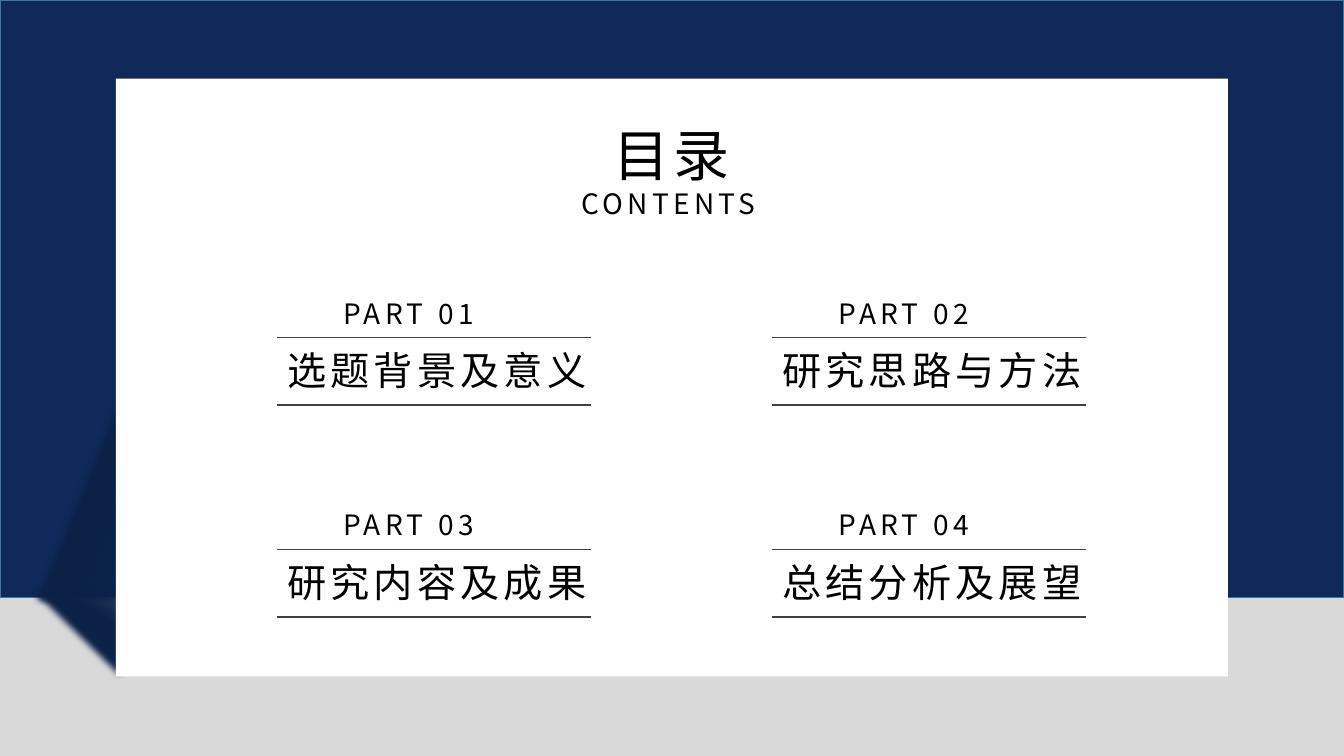
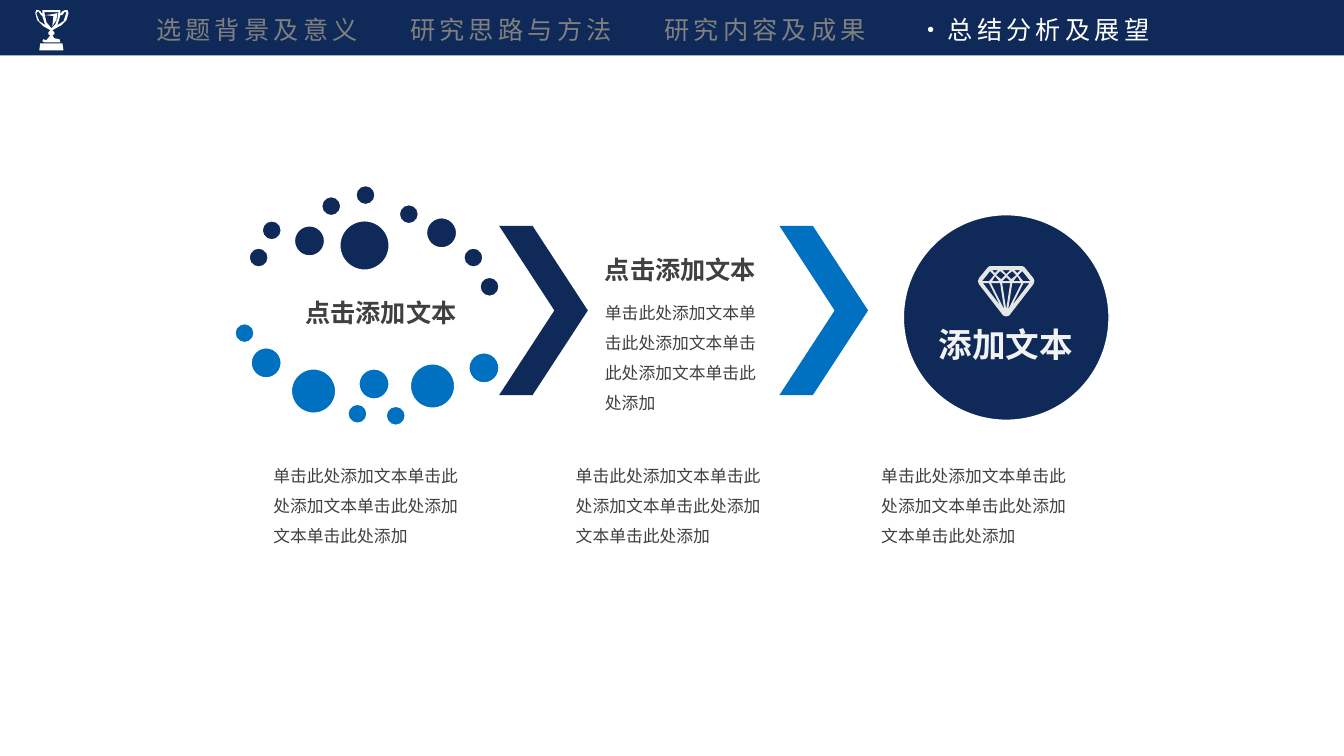
from lxml import etree
from pptx import Presentation
from pptx import util as u
from pptx.dml.color import RGBColor
from pptx.enum import shapes, text
from pptx.oxml import ns

NAVY = RGBColor(0x0F, 0x2A, 0x59)
DEEP = RGBColor(0x0C, 0x22, 0x47)
BLUE = RGBColor(0x00, 0x70, 0xC0)
EDGE = RGBColor(0x43, 0x73, 0x9E)
WHITE = RGBColor(0xFF, 0xFF, 0xFF)
PALE = RGBColor(0xF2, 0xF2, 0xF2)
ICE = RGBColor(0xE7, 0xE6, 0xE6)
MIST = RGBColor(0xD9, 0xD9, 0xD9)
GREY = RGBColor(0x80, 0x80, 0x80)
DARK = RGBColor(0x40, 0x40, 0x40)
BLACK = RGBColor(0, 0, 0)
FONT = "Noto Sans CJK SC"
WIDE, HIGH = 13.33, 7.5
KIND = shapes.MSO_SHAPE
PARTS = ["选题背景及意义", "研究思路与方法", "研究内容及成果", "总结分析及展望"]


def draw(page, kind, box, fill=None, line=None):
    item = page.shapes.add_shape(kind, *map(u.Inches, box))
    item.shadow.inherit = False
    if fill is not None:
        item.fill.solid()
        item.fill.fore_color.rgb = fill
    if line is None:
        item.line.fill.background()
    else:
        item.line.color.rgb = line
        item.line.width = u.Pt(1)
    return item


def write(page, box, words, size, tone, bold=False, gap=0, wrap=False, body=False, tabs=()):
    frame = page.shapes.add_textbox(*map(u.Inches, box)).text_frame
    frame.word_wrap = wrap
    frame.auto_size = text.MSO_AUTO_SIZE.SHAPE_TO_FIT_TEXT
    para = frame.paragraphs[0]
    para.text = words
    if body:
        frame.margin_left = frame.margin_right = u.Inches(0.07)
        frame.margin_top = frame.margin_bottom = u.Inches(0.04)
        para.line_spacing = 1.5
    if tabs:
        stops = etree.SubElement(para._p.get_or_add_pPr(), ns.qn("a:tabLst"))
        for stop in tabs:
            etree.SubElement(stops, ns.qn("a:tab"), pos=str(u.Inches(stop)), algn="l")
    font = para.font
    font.size, font.bold, font.name = u.Pt(size), bold, FONT
    font.color.rgb = tone
    props = para._p.pPr.find(ns.qn("a:defRPr"))
    props.set("spc", str(gap * 100))
    etree.SubElement(props, ns.qn("a:ea"), typeface=FONT)
    return para


deck = Presentation()
deck.slide_width, deck.slide_height = u.Inches(WIDE), u.Inches(HIGH)
pages = []
for tone in (MIST, WHITE):
    page = deck.slides.add_slide(deck.slide_layouts[6])
    page.background.fill.solid()
    page.background.fill.fore_color.rgb = tone
    pages.append(page)
toc, flow = pages

# Contents: backdrop, folded shade and white card
draw(toc, KIND.RECTANGLE, (0, 0, WIDE, 5.93), NAVY, EDGE)
for box, turn, angle, ends, alpha in (
    ((-0.46, 4.31, 2.42, 1), 270, 70, (0.07, 0.39), 70),
    ((0.15, 5.82, 1.1, 1.08), 180, 60, (0, 0.25), 80),
):
    fold = draw(toc, KIND.RIGHT_TRIANGLE, box)
    fold.rotation = turn
    fold.fill.gradient()
    fold.fill.gradient_angle = angle
    for stop, place in zip(fold.fill.gradient_stops, ends):
        stop.color.rgb = DEEP
        stop.position = place
    tint = fold._element.spPr.find(".//" + ns.qn("a:srgbClr"))
    etree.SubElement(tint, ns.qn("a:alpha"), val=str(alpha * 1000))
    soft = fold._element.spPr.find(ns.qn("a:effectLst"))
    etree.SubElement(soft, ns.qn("a:softEdge"), rad=str(u.Pt(5)))
draw(toc, KIND.RECTANGLE, (1.15, 0.78, 11.03, 5.93), WHITE)

# Contents: heading and a two by two grid of parts
write(toc, (5.67, 1.8, 1.99, 0.44), "CONTENTS", 20, BLACK, gap=3, wrap=True)
write(toc, (5.99, 1.15, 1.41, 0.77), "目录", 40, BLACK, gap=3)
for i, name in enumerate(PARTS):
    row, col = divmod(i, 2)
    x, y = 2.75 + 4.91 * col, 3.35 + 2.1 * row
    write(toc, (x, y + 0.04, 3.25, 0.57), name, 28, BLACK, gap=3)
    for level in (y, y + 0.67):
        rule = toc.shapes.add_connector(
            shapes.MSO_CONNECTOR.STRAIGHT, *map(u.Inches, (x, level, x + 3.11, level)))
        rule.line.color.rgb = DARK
        rule.line.width = u.Pt(1)
        etree.SubElement(rule._element.spPr, ns.qn("a:effectLst"))
    write(toc, (x + 0.56, y - 0.46, 1.99, 0.44), f"PART {i + 1:02}", 20, BLACK, gap=3, wrap=True)

# Flow: band with the part names, the current one in white
draw(flow, KIND.RECTANGLE, (0, 0, WIDE, 0.55), NAVY)
nav = write(flow, (1.45, 0.09, 11.8, 0.4), "\t".join(PARTS[:3]) + "\t", 18, GREY,
            gap=3, wrap=True, tabs=[2.52 * n for n in (1, 2, 3)])
here = nav.add_run()
here.text = "·" + PARTS[3]
here.font.color.rgb = WHITE

# Flow: ring of dots as left, top, size
dots = {
    NAVY: [(2.47, 2.46, 0.19), (2.6, 2.19, 0.19), (2.92, 2.24, 0.3), (3.19, 1.95, 0.19),
           (3.53, 1.84, 0.19), (3.96, 2.03, 0.19), (4.23, 2.16, 0.3), (4.6, 2.46, 0.19),
           (4.76, 2.75, 0.19), (3.37, 2.19, 0.49)],
    BLUE: [(2.33, 3.21, 0.19), (2.49, 3.45, 0.3), (2.89, 3.66, 0.44), (3.45, 4.01, 0.19),
           (3.56, 3.66, 0.3), (3.83, 4.03, 0.19), (4.07, 3.61, 0.44), (4.65, 3.5, 0.3)],
}
for tone, ring in dots.items():
    for x, y, size in ring:
        draw(flow, KIND.OVAL, (x, y, size, size), tone, WHITE)

# Flow: chevrons, disc and captions
for x, tone in ((4.95, NAVY), (7.73, BLUE)):
    draw(flow, KIND.CHEVRON, (x, 2.24, 0.88, 1.68), tone).adjustments[0] = 0.623
draw(flow, KIND.OVAL, (8.96, 2.13, 2.04, 2.04), NAVY, WHITE)
for x, y in ((5.9, 2.47), (2.93, 2.9)):
    write(flow, (x, y, 1.72, 0.4), "点击添加文本", 18, DARK, bold=True)
write(flow, (9.21, 3.16, 1.55, 0.5), "添加文本", 24, PALE, bold=True)
hint = "单击此处添加文本" * 3 + "单击此处添加"
for box in ((2.64, 4.48, 2.05, 0.94), (5.64, 4.48, 2.05, 0.94),
            (8.67, 4.48, 2.05, 0.94), (5.93, 2.86, 1.69, 1.24)):
    write(flow, box, hint, 12, DARK, wrap=True, body=True)

# Icons in hundredths of an inch; the gem mirrors about x = 998
half = [
    [(-16, 269), (-12, 273), (-17, 279), (-24, 279)],
    [(-6, 303), (-23, 281), (-17, 281)],
    [(-6, 281), (-2, 307), (-15, 281)],
    [(-11, 274), (-7, 279), (-14, 279)],
    [(-11, 271), (-14, 268), (-8, 268)],
    [(-5, 277), (-10, 273), (-6, 269), (-1, 273)],
]
rim = [(-16, 264), (-18, 265), (-27, 276), (-28, 279), (-27, 282), (-3, 313), (0, 314)]
core = [
    rim + [(-x, y) for x, y in rim[-2::-1]],
    [(0, 272), (-4, 268), (4, 268)],
    [(4, 279), (-4, 279), (0, 275)],
    [(4, 281), (0, 307), (-4, 281)],
]
facets = core + half + [[(-x, y) for x, y in loop] for loop in half]
gem = [[(998 + x, y) for x, y in loop] for loop in facets]
cup = [
    [(35, 13), (35.5, 10.5), (38, 10), (40, 11), (42, 14), (42, 10), (60, 10), (60, 14),
     (62, 11), (65, 10), (67, 10.5), (68, 13), (66, 20), (61, 25), (52, 30), (54, 32),
     (54, 34), (52, 35), (54, 38), (59, 39), (60, 42), (44, 42), (42.5, 41), (43, 39),
     (46, 40), (50, 35), (48, 34), (48, 32), (50, 30), (43, 26), (37, 20)],
    [(36, 13), (39, 21), (45, 25), (42, 16), (40, 14), (38, 11)],
    [(62, 15), (60, 15), (57, 25), (63, 21), (66, 12), (64, 11.5)],
    [(44, 12), (46, 22), (51, 28), (55, 24), (57, 19), (58, 12)],
    [(53, 14), (45, 15), (53, 16), (52, 26), (56, 20), (57, 13)],
    [(40, 43), (62, 43), (63, 50), (39, 50)],
]
for loops, tone in ((gem, ICE), (cup, WHITE)):
    pen = flow.shapes.build_freeform(*loops[0][0], scale=u.Inches(0.01))
    for loop in loops:
        pen.move_to(*loop[0])
        pen.add_line_segments(loop[1:], close=True)
    icon = pen.convert_to_shape()
    icon.shadow.inherit = False
    icon.fill.solid()
    icon.fill.fore_color.rgb = tone
    icon.line.fill.background()

deck.save("out.pptx")
